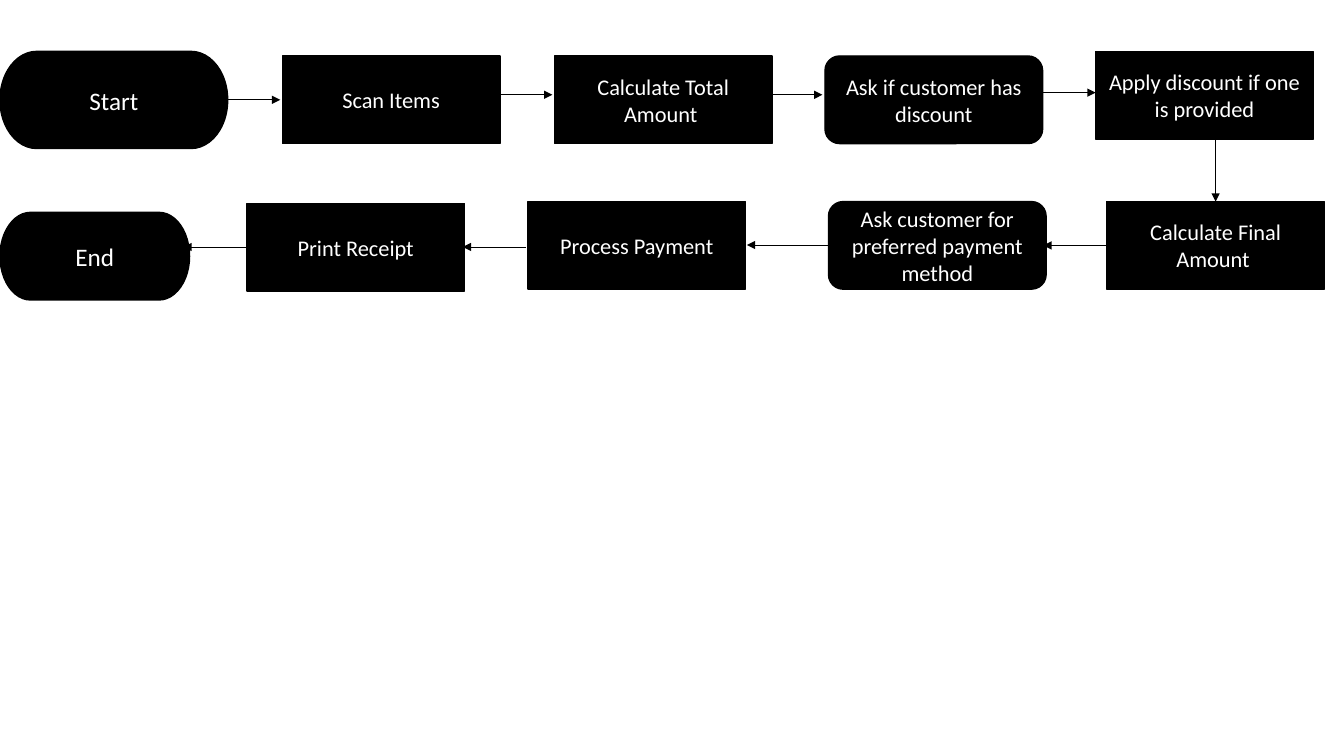
from pptx import Presentation
from pptx.dml.color import RGBColor
from pptx.enum.shapes import MSO_CONNECTOR as LINK, MSO_SHAPE as SHAPE
from pptx.enum.text import MSO_ANCHOR as ANCHOR, PP_ALIGN as ALIGN
from pptx.oxml.ns import qn
from pptx.util import Pt
from lxml.etree import SubElement

BLACK, WHITE = "000000", "FFFFFF"
STEP_W, STEP_H = 155.5, 62.6


def paint(color, value):
    """Set a color format from a hex string."""
    color.rgb = RGBColor.from_string(value)


deck = Presentation()
deck.slide_width, deck.slide_height = Pt(960), Pt(540)
slide = deck.slides.add_slide(deck.slide_layouts[6])
shapes = slide.shapes

# Arrows come first, so the boxes cover any heads that reach inside them
arrows = [
    (162.7, 71.3, 200.2, 71.3),
    (357.1, 67.7, 394.6, 67.7),
    (550.1, 67.7, 587.5, 67.7),
    (745.2, 66.2, 782.6, 66.2),
    (868.3, 99.4, 868.3, 144),
    (790.6, 175.3, 745.2, 175.3),
    (591.8, 175, 533.5, 175),
    (375.8, 176.4, 330.5, 176.4),
    (176.4, 176.4, 131, 176.4),
]
for ends in arrows:
    arrow = shapes.add_connector(LINK.STRAIGHT, *map(Pt, ends))
    paint(arrow.line.color, BLACK)
    arrow.line.width = Pt(0.5)
    SubElement(arrow.line._get_or_add_ln(), qn("a:tailEnd"), type="triangle")
    SubElement(arrow._element.spPr, qn("a:effectLst"))

# Steps in flow order: outline, left, top, width, height, text size, label
END, TASK, ASK = SHAPE.FLOWCHART_TERMINATOR, SHAPE.RECTANGLE, SHAPE.ROUNDED_RECTANGLE
steps = [
    (END, 0, 36.7, 162.7, 69.4, 18, "Start"),
    (TASK, 201.6, 40, STEP_W, STEP_H, 16, "Scan Items"),
    (TASK, 396, 40, STEP_W, STEP_H, 16, "Calculate Total Amount "),
    (ASK, 589.3, 40, STEP_W, STEP_H, 16, "Ask if customer has discount"),
    (TASK, 782.6, 36.8, STEP_W, STEP_H, 16, "Apply discount if one is provided"),
    (TASK, 790.6, 144, STEP_W, STEP_H, 16, "Calculate Final Amount "),
    (ASK, 591.8, 144, STEP_W, STEP_H, 16, "Ask customer for preferred payment method"),
    (TASK, 377.1, 144, STEP_W, STEP_H, 16, "Process Payment"),
    (TASK, 176.4, 145.2, STEP_W, STEP_H, 16, "Print Receipt"),
    (END, 0, 151.7, 135.4, STEP_H, 18, "End"),
]
for kind, left, top, width, height, size, label in steps:
    box = shapes.add_shape(kind, Pt(left), Pt(top), Pt(width), Pt(height))
    box.shadow.inherit = False
    box.fill.solid()
    paint(box.fill.fore_color, BLACK)
    paint(box.line.color, BLACK)
    box.line.width = Pt(1)
    frame = box.text_frame
    frame.word_wrap = True
    frame.vertical_anchor = ANCHOR.MIDDLE
    frame.text = label
    para = frame.paragraphs[0]
    para.alignment = ALIGN.CENTER
    font = para.runs[0].font
    font.name, font.size = "Calibri", Pt(size)
    paint(font.color, WHITE)

deck.save("out.pptx")
